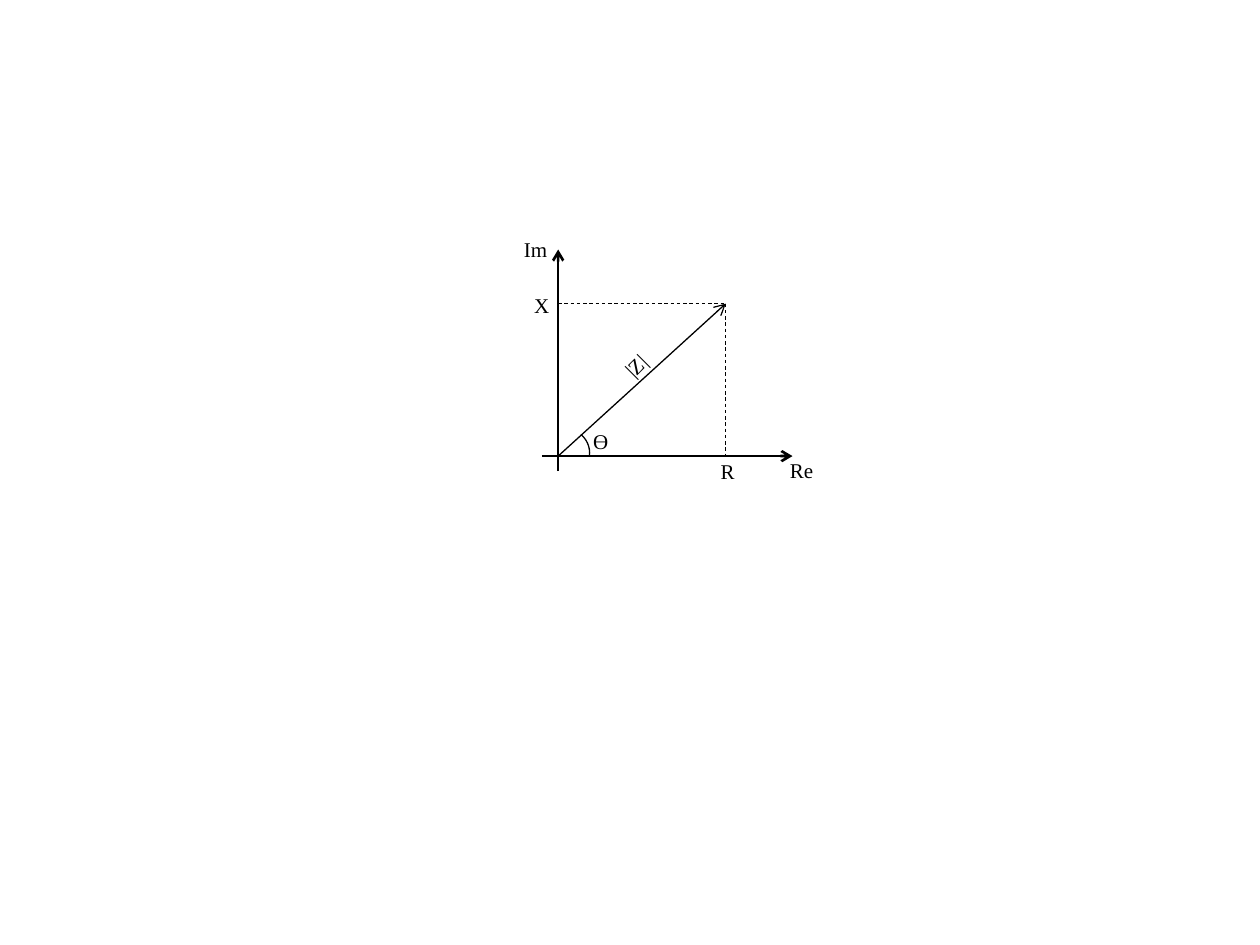
"""Build a slide with an impedance vector in the complex plane."""
from pptx import Presentation, util as u
from pptx.dml.color import RGBColor
from pptx.enum import dml, shapes, text
from pptx.oxml.ns import qn
from lxml import etree

INK = {"black": "000000"}
black = RGBColor.from_string(INK["black"])

deck = Presentation()
deck.slide_width, deck.slide_height = u.Inches(10), u.Inches(7.5)
slide = deck.slides.add_slide(deck.slide_layouts[6])
plot = slide.shapes.add_group_shape().shapes


def rule(start, end, width, arrow=False, dash=False):
    ends = [u.Inches(v) for v in (*start, *end)]
    line = plot.add_connector(shapes.MSO_CONNECTOR.STRAIGHT, *ends)
    line.line.color.rgb = black
    line.line.width = u.Pt(width)
    if dash:
        line.line.dash_style = dml.MSO_LINE.DASH
    if arrow:
        etree.SubElement(line.line._get_or_add_ln(), qn("a:tailEnd"), type="arrow")
    etree.SubElement(line._element.spPr, qn("a:effectLst"))


def label(words, left, top, width, turn=0, size=12, font="Times New Roman"):
    box = plot.add_textbox(*[u.Inches(v) for v in (left, top, width, 0.3)])
    box.rotation = turn
    frame = box.text_frame
    frame.word_wrap = False
    frame.auto_size = text.MSO_AUTO_SIZE.SHAPE_TO_FIT_TEXT
    run = frame.paragraphs[0].add_run()
    run.text = words
    run.font.size, run.font.name = u.Pt(size), font
    run.font.color.rgb = black


zero_x, zero_y = 4.43, 3.62
tip_x, tip_y = 5.76, 2.41
zero, tip = (zero_x, zero_y), (tip_x, tip_y)

rule((zero_x, 3.74), (zero_x, 1.98), 1.5, arrow=True)
rule((4.3, zero_y), (6.29, zero_y), 1.5, arrow=True)
rule(zero, tip, 0.75, arrow=True)
rule(tip, (tip_x, zero_y), 0.5, dash=True)
rule((zero_x, tip_y), tip, 0.5, dash=True)

label("Im", 4.06, 1.83, 0.39)
label("Re", 6.17, 3.58, 0.39)
label("X", 4.14, 2.27, 0.32)
label("R", 5.62, 3.59, 0.31)
label("|Z|", 4.86, 2.75, 0.37, turn=315)
label("ϴ", 4.61, 3.35, 0.32)

angle = plot.add_shape(shapes.MSO_SHAPE.ARC, *[u.Inches(v) for v in (4.23, 3.39, 0.45, 0.41)])
angle.adjustments[0], angle.adjustments[1] = 190.02, 3.86
angle.shadow.inherit = False
angle.fill.background()
angle.line.color.rgb = black
angle.line.width = u.Pt(0.75)

deck.save("out.pptx")
